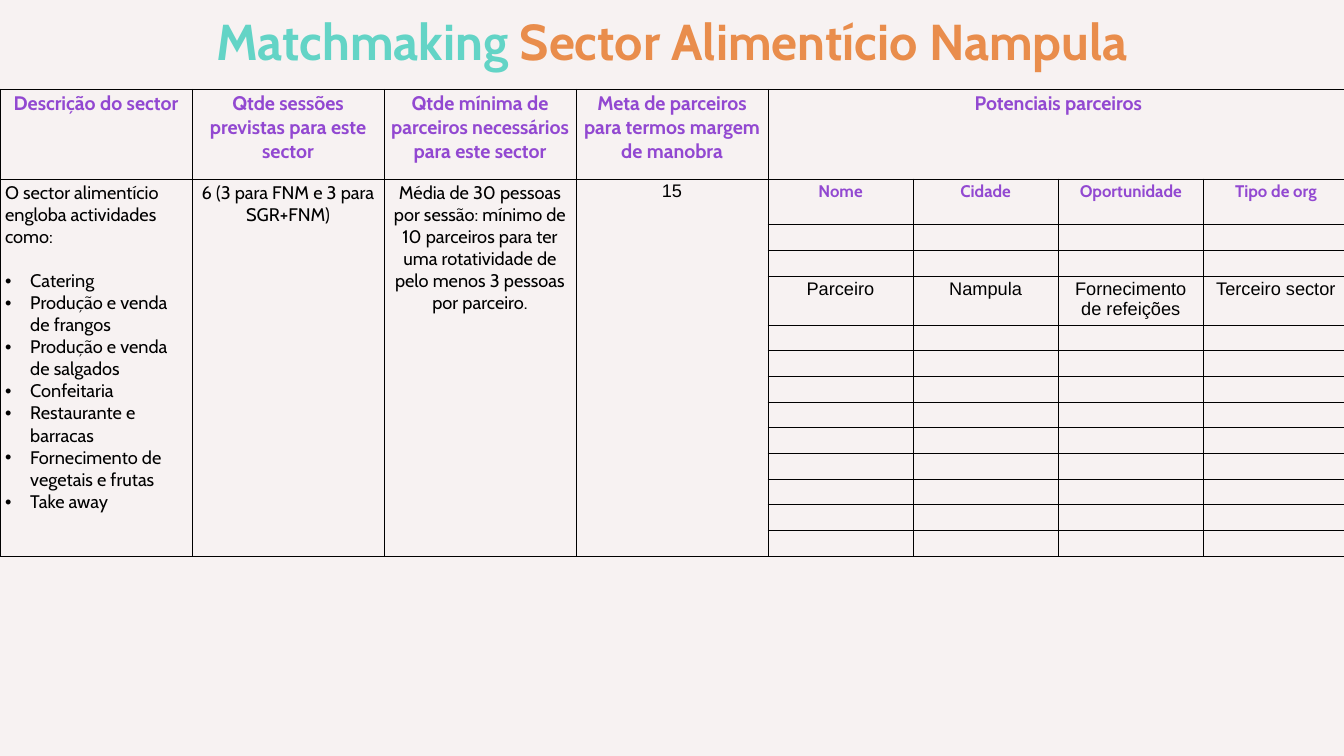
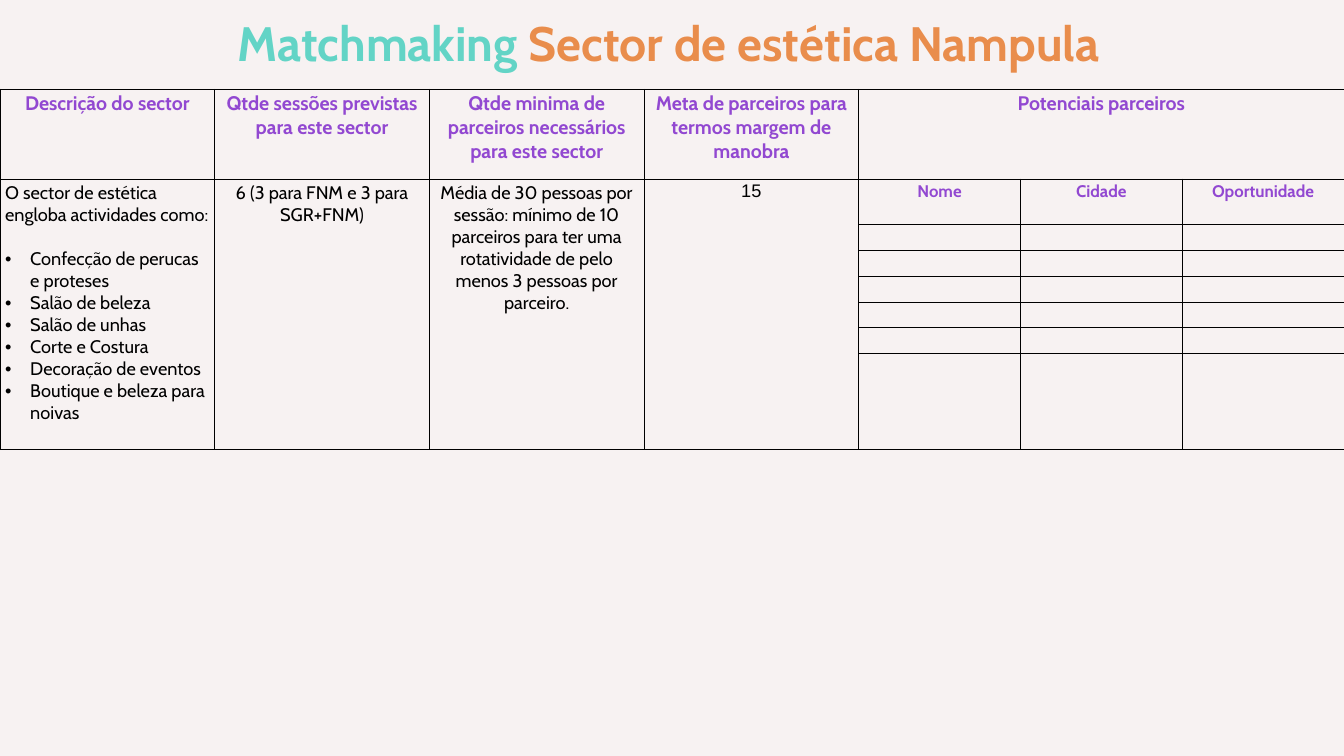
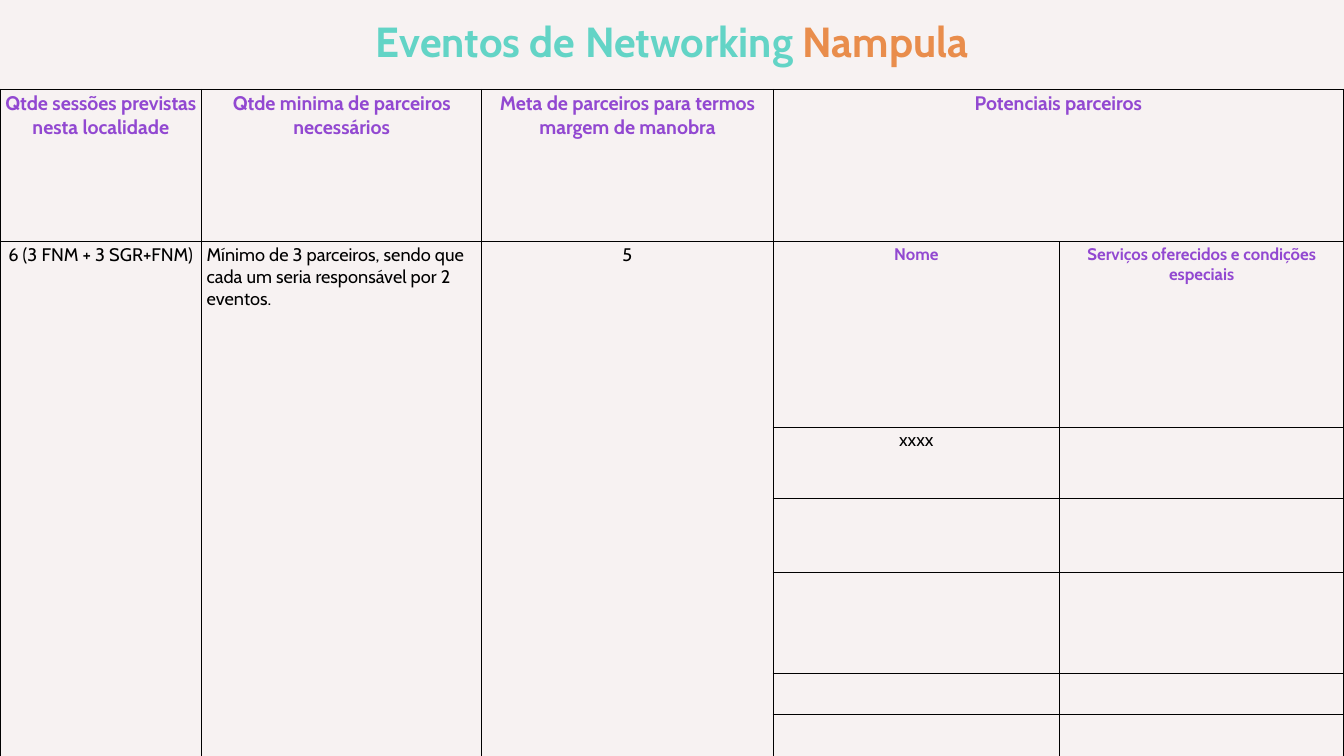
from pptx import Presentation
from pptx import util as u
from pptx.dml.color import RGBColor
from pptx.enum import text
from pptx.oxml import parse_xml
from pptx.oxml.ns import nsdecls

PX = 9144  # one px is a hundredth of an inch
WIDE, HIGH = 2667, 1500
TOP = 177  # top of every table
PAPER, TEAL, ORANGE = "F7F2F2", "63D4C6", "E98D4C"
PURPLE, BLACK = "9248D1", "000000"

# Text formats
HEAD = dict(size=28, name="Cabin", bold=True, color=PURPLE)
SUB = dict(HEAD, size=24)
BODY = dict(size=26, name="Cabin", bold=False, color=BLACK)
PLAIN = dict(BODY, name="Arial")
GAP = 31.5  # space before a list, in points

# Content
AVERAGE = ("Média de 30 pessoas por sessão: mínimo de 10 parceiros para ter "
           "uma rotatividade de pelo menos 3 pessoas por parceiro.")
SESSIONS = "6 (3 para FNM e 3 para SGR+FNM)"
TARGET = "Meta de parceiros para termos margem de manobra"
PLANNED = "Qtde sessões previstas para este sector"

# "left" names the left-aligned column; "plain" the column set in Arial
SLIDES = [
    dict(
        title=("Matchmaking ", "Sector Alimentício Nampula"), size=72,
        box=(0, 0, 2667, 162),
        cols=[381] * 4 + [288] * 4,
        rows=[178, 91, 51, 51, 91] + [51] * 9,
        heads=["Descrição do sector", PLANNED,
               "Qtde mínima de parceiros necessários para este sector",
               TARGET, "Potenciais parceiros"],
        facts=["O sector alimentício engloba actividades como:",
               SESSIONS, AVERAGE, "15"],
        items=["Catering", "Produção e venda de frangos",
               "Produção e venda de salgados", "Confeitaria",
               "Restaurante e barracas", "Fornecimento de vegetais e frutas",
               "Take away"],
        subs=["Nome", "Cidade", "Oportunidade", "Tipo de org"],
        partner=(4, ["Parceiro", "Nampula", "Fornecimento de refeições",
                     "Terceiro sector"], PLAIN),
        left=0, plain=3),
    dict(
        title=("Matchmaking ", "Sector de estética Nampula"), size=69,
        box=(-20, 3, 2694, 162),
        cols=[426] * 4 + [321] * 3,
        rows=[178, 91] + [51] * 5 + [190],
        heads=["Descrição do sector", PLANNED,
               "Qtde minima de parceiros necessários para este sector",
               TARGET, "Potenciais parceiros"],
        facts=["O sector de estética engloba actividades como:",
               SESSIONS, AVERAGE, "15"],
        items=["Confecção de perucas e proteses", "Salão de beleza",
               "Salão de unhas", "Corte e Costura", "Decoração de eventos",
               "Boutique e beleza para noivas"],
        subs=["Nome", "Cidade", "Oportunidade"],
        partner=None, left=0, plain=3),
    dict(
        title=("Eventos de Networking ", "Nampula"), size=60,
        box=(0, 0, 2667, 162),
        cols=[400, 556, 578, 569, 563],
        rows=[302, 368, 141, 148, 200, 82, 82],
        heads=["Qtde sessões previstas nesta localidade",
               "Qtde minima de parceiros necessários",
               TARGET, "Potenciais parceiros"],
        facts=["6 (3 FNM + 3 SGR+FNM)",
               "Mínimo de 3 parceiros, sendo que cada um seria responsável "
               "por 2 eventos.", "5"],
        items=[],
        subs=["Nome", "Serviços oferecidos e condições especiais"],
        partner=(2, ["xxxx"], BODY),
        left=1, plain=None),
]


def rgb(code):
    return RGBColor.from_string(code)


def style(font, look):
    for key, val in look.items():
        if key == "color":
            font.color.rgb = rgb(val)
        else:
            setattr(font, key, u.Pt(val) if key == "size" else val)


def write(par, words, look, left=False):
    par.alignment = text.PP_ALIGN.LEFT if left else text.PP_ALIGN.CENTER
    run = par.add_run()
    run.text = words
    style(run.font, look)


def put(cell, words, look, left=False):
    write(cell.text_frame.paragraphs[0], words, look, left)


def add_list(frame, items):
    for i, item in enumerate(items):
        par = frame.add_paragraph()
        props = par._p.get_or_add_pPr()
        props.set("marL", str(50 * PX))
        props.set("indent", str(-50 * PX))
        for tag in ('buFont {} typeface="Arial"', 'buChar {} char="•"'):
            props.append(parse_xml(f"<a:{tag.format(nsdecls('a'))}/>"))
        if i == 0:
            par.space_before = u.Pt(GAP)
        write(par, item, BODY, left=True)


def rule(cell):
    """Black one-point border on all sides, no fill."""
    props = cell._tc.get_or_add_tcPr()
    for side in "LRTB":
        props.append(parse_xml(
            f'<a:ln{side} {nsdecls("a")} w="12700"><a:solidFill>'
            f'<a:srgbClr val="{BLACK}"/></a:solidFill></a:ln{side}>'))
    cell.fill.background()


def add_title(slide, data):
    box = slide.shapes.add_textbox(*[n * PX for n in data["box"]])
    frame = box.text_frame
    frame.word_wrap = True
    frame.vertical_anchor = text.MSO_ANCHOR.MIDDLE
    for side in ("left", "right", "top", "bottom"):
        setattr(frame, "margin_" + side, 6 * PX)
    for words, color in zip(data["title"], (TEAL, ORANGE)):
        write(frame.paragraphs[0], words,
              dict(HEAD, size=data["size"], color=color))


def add_grid(slide, data):
    cols, rows = data["cols"], data["rows"]
    grid = slide.shapes.add_table(
        len(rows), len(cols), 0, TOP * PX,
        sum(cols) * PX, sum(rows) * PX).table
    grid.first_row = grid.horz_banding = False
    for col, wide in zip(grid.columns, cols):
        col.width = wide * PX
    for row, high in zip(grid.rows, rows):
        row.height = high * PX
    for cell in grid.iter_cells():
        rule(cell)

    # Facts run down the whole table; partners share the last heading
    start = len(data["facts"])
    last = len(rows) - 1
    grid.cell(0, start).merge(grid.cell(0, len(cols) - 1))
    for c, words in enumerate(data["heads"]):
        put(grid.cell(0, c), words, HEAD)
    for c, words in enumerate(data["facts"]):
        cell = grid.cell(1, c)
        cell.merge(grid.cell(last, c))
        put(cell, words, PLAIN if c == data["plain"] else BODY,
            c == data["left"])
    add_list(grid.cell(1, 0).text_frame, data["items"])

    # Partner columns
    lines = [(1, data["subs"], SUB)]
    if data["partner"]:
        lines.append(data["partner"])
    for r, names, look in lines:
        for c, words in enumerate(names, start):
            put(grid.cell(r, c), words, look)


def main():
    deck = Presentation()
    deck.slide_width, deck.slide_height = WIDE * PX, HIGH * PX
    for data in SLIDES:
        slide = deck.slides.add_slide(deck.slide_layouts[6])
        fill = slide.background.fill
        fill.solid()
        fill.fore_color.rgb = rgb(PAPER)
        add_title(slide, data)
        add_grid(slide, data)
    deck.save("out.pptx")


if __name__ == "__main__":
    main()
